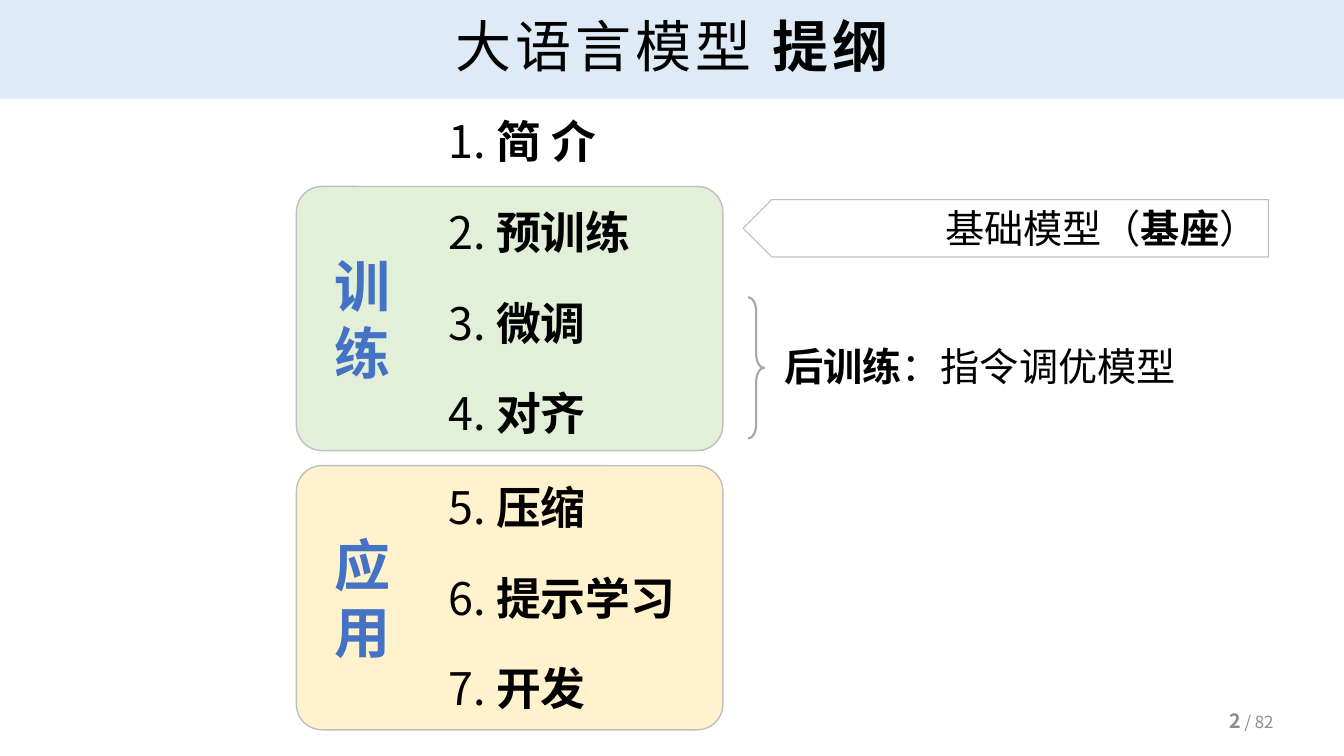
import pptx
import pptx.dml.color
import pptx.enum.shapes
import pptx.enum.text
import pptx.oxml
import pptx.oxml.ns
import pptx.util

Inches = pptx.util.Inches
Pt = pptx.util.Pt
SHAPE = pptx.enum.shapes.MSO_SHAPE
ALIGN = pptx.enum.text.PP_ALIGN
ANCHOR = pptx.enum.text.MSO_ANCHOR

COLORS = {
    "text": "000000", "accent": "4472C4", "muted": "8C8C8C",
    "banner": "DEEBF7", "training": "E2F0D9", "application": "FFF2CC",
    "outline": "BFBFBF", "brace": "A6A6A6",
}


class OutlineSlide:
    font = "Noto Sans CJK SC"

    def __init__(self, presentation):
        self.slide = presentation.slides.add_slide(presentation.slide_layouts[5])

    def color(self, name):
        return pptx.dml.color.RGBColor.from_string(COLORS[name])

    def add_runs(self, paragraph, runs, size, color="text", align=ALIGN.LEFT, font=None):
        """Add (text, bold) or (text, bold, size) runs to a paragraph."""
        paragraph.alignment = align
        for text, bold, *own_size in runs:
            run = paragraph.add_run()
            run.text = text
            run.font.size = Pt(own_size[0] if own_size else size)
            run.font.bold = bold
            run.font.color.rgb = self.color(color)
            run.font.name = font or self.font
            east_asian = pptx.oxml.parse_xml(
                f'<a:ea {pptx.oxml.ns.nsdecls("a")} typeface="{self.font}"/>')
            run.font._element.append(east_asian)

    def title(self, runs):
        banner = self.slide.shapes.title
        banner.left, banner.top = 0, 0
        banner.width, banner.height = Inches(13.33), Inches(0.98)
        banner.fill.solid()
        banner.fill.fore_color.rgb = self.color("banner")
        frame = banner.text_frame
        frame.auto_size = pptx.enum.text.MSO_AUTO_SIZE.NONE
        frame.vertical_anchor = ANCHOR.MIDDLE
        paragraph = frame.paragraphs[0]
        paragraph.line_spacing = 0.9
        self.add_runs(paragraph, runs, 40, align=ALIGN.CENTER)
        for run in paragraph.runs:
            run.font._element.set("spc", "300")

    def shape(self, kind, box, line, line_width, fill=None, adjustments=()):
        shape = self.slide.shapes.add_shape(kind, *map(Inches, box))
        shape.shadow.inherit = False
        if fill:
            shape.fill.solid()
            shape.fill.fore_color.rgb = self.color(fill)
        else:
            shape.fill.background()
        shape.line.color.rgb = self.color(line)
        shape.line.width = Pt(line_width)
        for index, value in enumerate(adjustments):
            shape.adjustments[index] = value
        return shape

    def stage(self, top, fill, characters):
        """Draw a rounded panel with its name stacked one character a line."""
        panel = self.shape(SHAPE.ROUNDED_RECTANGLE, (2.94, top, 4.23, 2.62),
                           "outline", 1, fill, [0.097])
        frame = panel.text_frame
        frame.margin_left = Inches(0.3)
        frame.vertical_anchor = ANCHOR.MIDDLE
        for index, character in enumerate(characters):
            paragraph = frame.add_paragraph() if index else frame.paragraphs[0]
            self.add_runs(paragraph, [(character, True)], 40, "accent")

    def text(self, box, runs, size, inset=0.1, wrap=True, anchor=ANCHOR.TOP, **style):
        frame = self.slide.shapes.add_textbox(*map(Inches, box)).text_frame
        frame.word_wrap = wrap
        frame.margin_left = Inches(inset)
        frame.vertical_anchor = anchor
        self.add_runs(frame.paragraphs[0], runs, size, **style)

    def chapters(self, first, top, names):
        for index, name in enumerate(names):
            self.text((4.25, top + 0.9 * index, 2.91, 0.64),
                      [(f"{first + index}. ", False), (name, True)], 32, inset=0.2)

    def left_tag(self, box, runs):
        tag = self.shape(SHAPE.PENTAGON, box, "outline", 0.75)
        tag._element.spPr.xfrm.set("flipH", "1")
        tag.text_frame.vertical_anchor = ANCHOR.TOP
        self.add_runs(tag.text_frame.paragraphs[0], runs, 28, align=ALIGN.RIGHT)


def main():
    presentation = pptx.Presentation()
    presentation.slide_width = Inches(13.33)
    presentation.slide_height = Inches(7.5)
    outline = OutlineSlide(presentation)

    outline.title([("大语言模型 ", False), ("提纲", True)])
    outline.stage(1.85, "training", "训练")
    outline.stage(4.62, "application", "应用")
    outline.chapters(1, 1.08, ["简 介", "预训练", "微调", "对齐"])
    outline.chapters(5, 4.71, ["压缩", "提示学习", "开发"])

    outline.left_tag((7.37, 1.98, 5.21, 0.57),
                     [("基础模型（", False), ("基座", True), ("）", False)])
    outline.shape(SHAPE.RIGHT_BRACE, (7.42, 2.95, 0.16, 1.4), "brace", 1.5,
                  adjustments=[0.84, 0.5])
    outline.text((7.68, 3.35, 4.13, 0.57), [("后训练", True), ("：", False), ("指令调优模型", False)],
                 28, wrap=False, font="Arial")
    outline.text((11.51, 6.95, 1.22, 0.4), [("2", True), (" / 82", False, 12)], 14,
                 anchor=ANCHOR.MIDDLE, color="muted", align=ALIGN.RIGHT)

    presentation.save("out.pptx")


if __name__ == "__main__":
    main()
